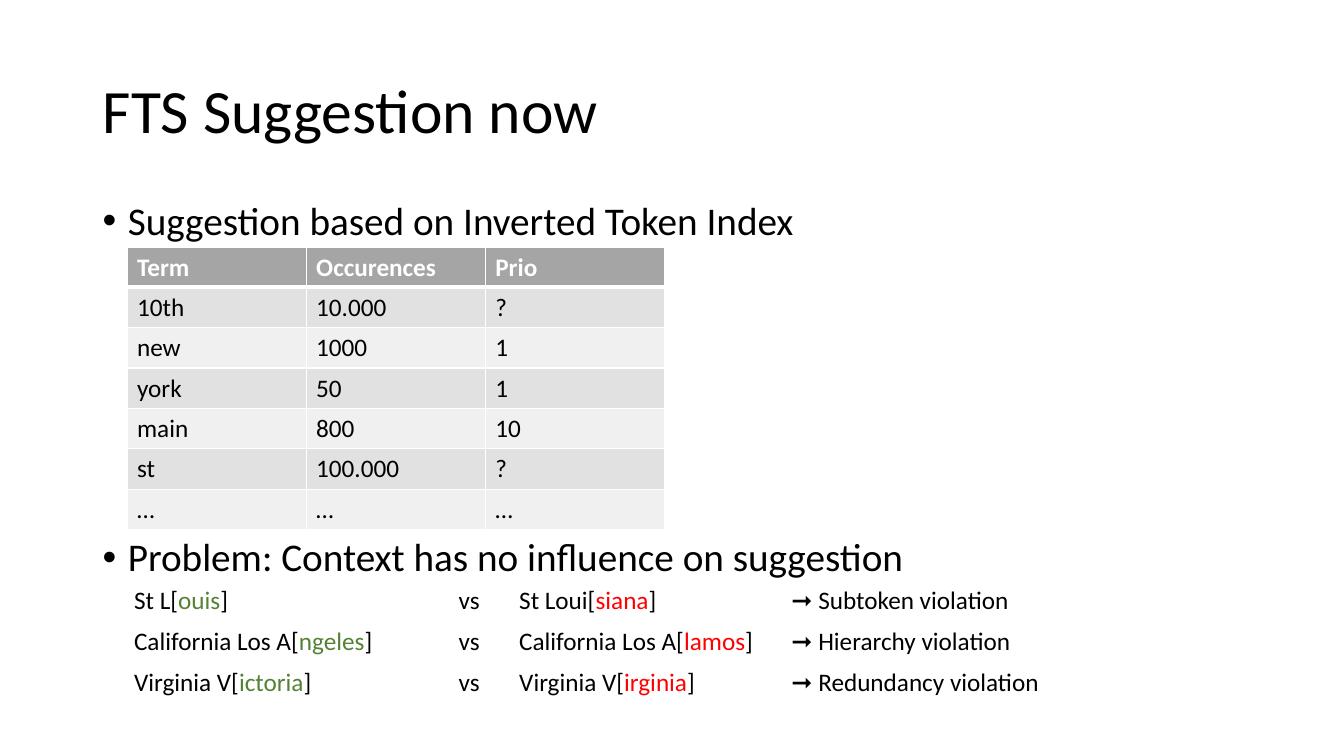
from pptx import Presentation
from pptx.dml.color import RGBColor
from pptx.enum.text import MSO_ANCHOR, PP_ALIGN
from pptx.oxml.ns import qn
from pptx.util import Inches, Pt
from lxml import etree

MIDDLE, LEFT = MSO_ANCHOR.MIDDLE, PP_ALIGN.LEFT
TITLE_ONLY = 5
FONT = "Calibri"
BLACK = RGBColor(0x00, 0x00, 0x00)
WHITE = RGBColor(0xFF, 0xFF, 0xFF)
HEADER = RGBColor(0xA5, 0xA5, 0xA5)
BANDS = (RGBColor(0xE1, 0xE1, 0xE1), RGBColor(0xF0, 0xF0, 0xF0))
GREEN = RGBColor(0x54, 0x82, 0x35)
RED = RGBColor(0xFF, 0x00, 0x00)

TERMS = [
    ("Term", "Occurences", "Prio"),
    ("10th", "10.000", "?"),
    ("new", "1000", "1"),
    ("york", "50", "1"),
    ("main", "800", "10"),
    ("st", "100.000", "?"),
    ("…", "…", "…"),
]
# Typed text and completion of the good and the bad suggestion, then the problem
VIOLATIONS = [
    ("St L", "ouis", "St Loui", "siana", "Subtoken"),
    ("California Los A", "ngeles", "California Los A", "lamos", "Hierarchy"),
    ("Virginia V", "ictoria", "Virginia V", "irginia", "Redundancy"),
]


def add_run(p, text, size, color=BLACK, bold=False):
    r = p.add_run()
    r.text = text
    style = {"name": FONT, "size": Pt(size), "bold": bold}
    for key, value in style.items():
        setattr(r.font, key, value)
    r.font.color.rgb = color


def add_bullet(p):
    pPr = p._p.get_or_add_pPr()
    pPr.set("marL", str(Inches(0.25)))
    pPr.set("indent", str(-Inches(0.25)))
    etree.SubElement(pPr, qn("a:buFont")).set("typeface", "Arial")
    etree.SubElement(pPr, qn("a:buChar")).set("char", "•")


def add_borders(cell, bottom):
    tcPr = cell._tc.get_or_add_tcPr()
    for side, width in {"L": 1, "R": 1, "T": 1, "B": bottom}.items():
        ln = etree.SubElement(tcPr, qn(f"a:ln{side}"), w=str(Pt(width)))
        fill = etree.SubElement(ln, qn("a:solidFill"))
        etree.SubElement(fill, qn("a:srgbClr"), val=str(WHITE))


def add_grid(s, box, row_count, widths):
    left, top, width, height = map(Inches, box)
    table = s.shapes.add_table(row_count, len(widths), left, top, width, height).table
    for column, w in zip(table.columns, widths):
        column.width = Inches(w)
    return table


def add_title(s, box, text):
    sp = s.shapes.title
    sp.left, sp.top, sp.width, sp.height = map(Inches, box)
    tf = sp.text_frame
    tf.vertical_anchor = MIDDLE
    p = tf.paragraphs[0]
    p.alignment, p.line_spacing = LEFT, 0.9
    add_run(p, text, 44)


def add_bullets(s, box, texts, gap):
    tf = s.shapes.add_textbox(*map(Inches, box)).text_frame
    tf.word_wrap = True
    for i, text in enumerate(texts):
        p = tf.add_paragraph() if i else tf.paragraphs[0]
        p.line_spacing = 0.9
        p.space_before = Pt(gap if i else 0)
        add_bullet(p)
        add_run(p, text, 28)


def add_term_table(s, box):
    columns = len(TERMS[0])
    table = add_grid(s, box, len(TERMS), [box[2] / columns] * columns)
    for i, row in enumerate(TERMS):
        header = i == 0
        for j, text in enumerate(row):
            cell = table.cell(i, j)
            add_borders(cell, 3 if header else 1)
            cell.fill.solid()
            cell.fill.fore_color.rgb = HEADER if header else BANDS[(i - 1) % 2]
            add_run(cell.text_frame.paragraphs[0], text, 18,
                    WHITE if header else BLACK, header)


def add_violation_table(s, box):
    table = add_grid(s, box, len(VIOLATIONS), (3.22, 0.6, 2.7, 4.22))
    table.first_row = table.horz_banding = False
    for i, (good, good_end, bad, bad_end, problem) in enumerate(VIOLATIONS):
        row = (
            [(good + "[", BLACK), (good_end, GREEN), ("]", BLACK)],
            [("vs", BLACK)],
            [(bad + "[", BLACK), (bad_end, RED), ("]", BLACK)],
            [(f"➞ {problem} violation", BLACK)],
        )
        for j, parts in enumerate(row):
            cell = table.cell(i, j)
            cell.fill.background()
            for text, color in parts:
                add_run(cell.text_frame.paragraphs[0], text, 18, color)


prs = Presentation()
prs.slide_width, prs.slide_height = Inches(13.33), Inches(7.5)
s = prs.slides.add_slide(prs.slide_layouts[TITLE_ONLY])

add_title(s, (0.92, 0.4, 11.5, 1.45), "FTS Suggestion now")
# The gap between the bullets leaves room for the term table
add_bullets(s, (0.92, 1.95, 11.5, 5.21),
            ("Suggestion based on Inverted Token Index",
             "Problem: Context has no influence on suggestion"), 210)
add_term_table(s, (1.26, 2.45, 5.33, 2.8))
add_violation_table(s, (1.23, 5.76, 10.74, 1.22))

prs.save("out.pptx")
